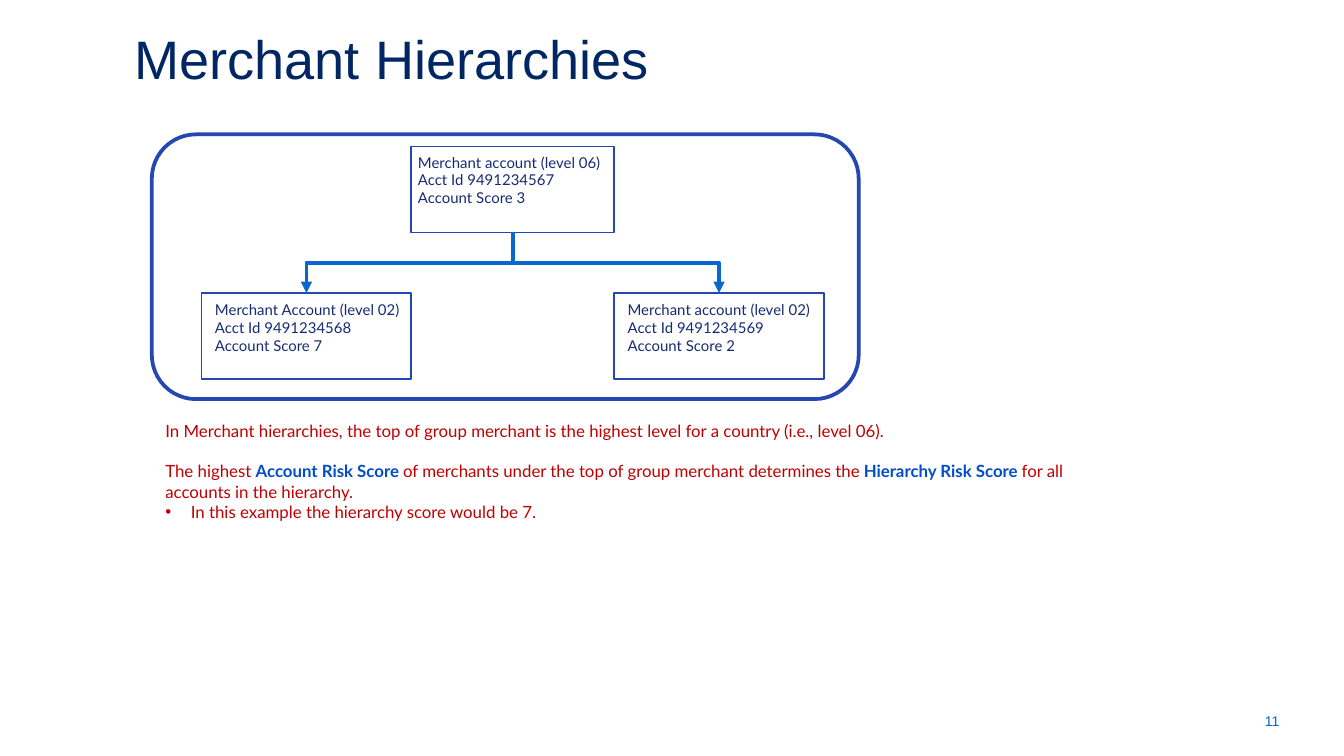
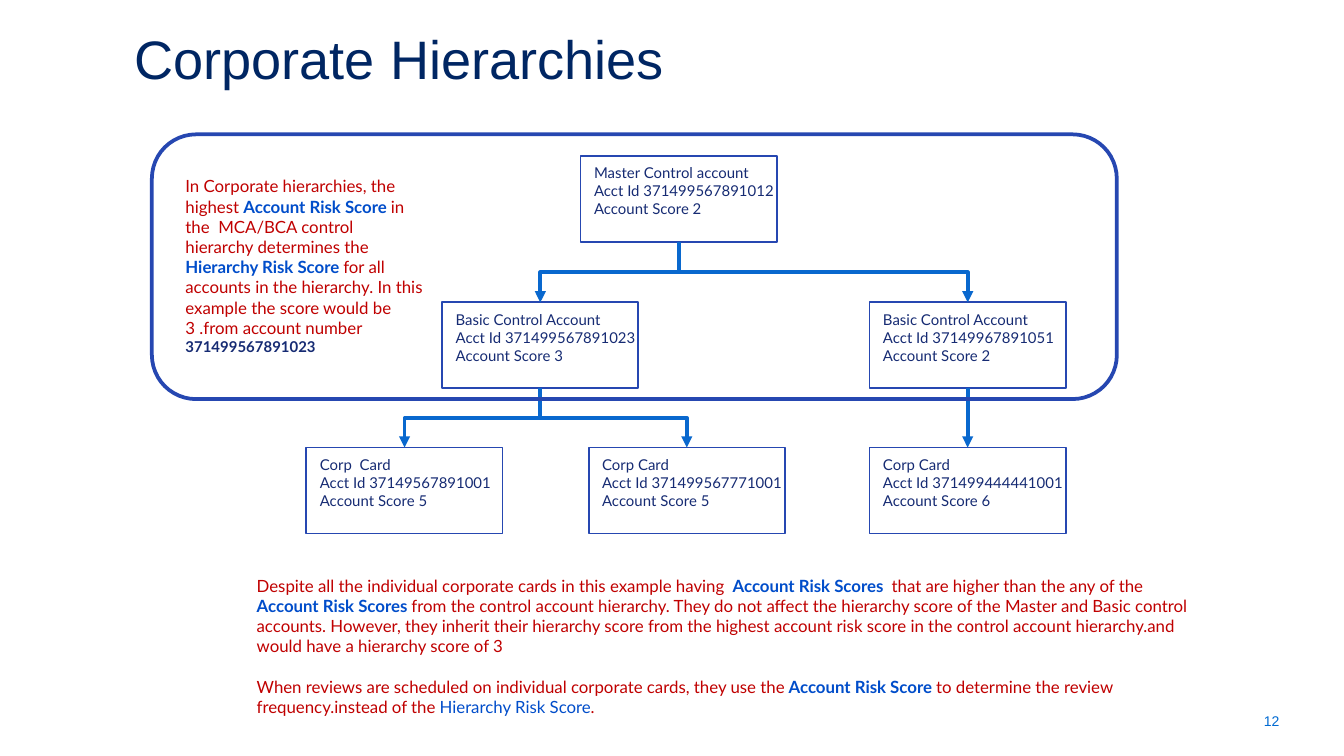
from collections import namedtuple

from lxml import etree
from pptx import Presentation
from pptx.dml.color import RGBColor
from pptx.enum.shapes import MSO_CONNECTOR, MSO_SHAPE
from pptx.enum.text import MSO_ANCHOR, MSO_AUTO_SIZE, PP_ALIGN
from pptx.oxml.ns import qn
from pptx.util import Inches, Pt

NAVY = RGBColor(0x00, 0x26, 0x63)
PAGE_BLUE = RGBColor(0x00, 0x6A, 0xD2)
RED = RGBColor(0xC0, 0x00, 0x00)
TERM_BLUE = RGBColor(0x00, 0x4D, 0xCA)
INK = RGBColor(0x16, 0x2B, 0x73)
OUTLINE = RGBColor(0x26, 0x47, 0xB1)
LINK_BLUE = RGBColor(0x09, 0x68, 0xCE)

ELBOW, STRAIGHT = MSO_CONNECTOR.ELBOW, MSO_CONNECTOR.STRAIGHT
RECTANGLE, ROUNDED = MSO_SHAPE.RECTANGLE, MSO_SHAPE.ROUNDED_RECTANGLE
TOP, MIDDLE = MSO_ANCHOR.TOP, MSO_ANCHOR.MIDDLE
LEFT, RIGHT = PP_ALIGN.LEFT, PP_ALIGN.RIGHT
NO_AUTOFIT = MSO_AUTO_SIZE.NONE

TITLE = {"name": "Arial", "size": Pt(29), "color": NAVY}
PAGE = {"name": "Arial", "size": Pt(7.5), "color": PAGE_BLUE}
PROSE = {"name": "Lato", "size": Pt(9), "bold": False, "color": RED}
TERM = PROSE | {"bold": True, "color": TERM_BLUE}
PLAIN_TERM = PROSE | {"color": TERM_BLUE}
ACCOUNT = {"name": "Lato", "size": Pt(8), "color": INK}
ACCOUNT_BOLD = ACCOUNT | {"bold": True}

TITLE_BOX = (0.9, 0.14, 9.84, 0.59)
PAGE_BOX = (8.76, 5.24, 0.86, 0.25)
NODE_HEIGHT = 0.64
LINE_GAP = 10.8
BULLET_INDENT = 0.19

Paragraph = namedtuple("Paragraph", "runs gap bulleted", defaults=(0, False))
Node = namedtuple("Node", "left top width lines inset", defaults=((0.1, 0.06),))

MERCHANT_NODES = {
    "top": Node(1.93, 0.09, 1.51, (
        "Merchant account (level 06)", "Acct Id 9491234567", "Account Score 3"),
        (0.05, 0.05)),
    "first": Node(0.37, 1.18, 1.56, (
        "Merchant Account (level 02)", "Acct Id 9491234568", "Account Score 7")),
    "second": Node(3.44, 1.18, 1.56, (
        "Merchant account (level 02)", "Acct Id 9491234569", "Account Score 2")),
}
MERCHANT_LINKS = (("top", "first"), ("top", "second"))
MERCHANT_RULES = (
    Paragraph([("In Merchant hierarchies, the top of group merchant is the highest level "
                "for a country (i.e., level 06).", PROSE)]),
    Paragraph([
        ("The highest ", PROSE), ("Account Risk Score ", TERM),
        ("of merchants under the top of group merchant determines the ", PROSE),
        ("Hierarchy Risk Score ", TERM), ("for all accounts in the hierarchy.", PROSE),
    ], LINE_GAP),
    Paragraph([("In this example the hierarchy score would be 7.", PROSE)], bulleted=True),
)

CONTROL_WIDTH = 1.46
MASTER_TOP, BASIC_TOP, CARD_TOP = 0.16, 1.25, 2.33
CORPORATE_NODES = {
    "master": Node(3.19, MASTER_TOP, CONTROL_WIDTH, (
        "Master Control account", "Acct Id 371499567891012", "Account Score 2")),
    "basic one": Node(2.16, BASIC_TOP, CONTROL_WIDTH, (
        "Basic Control Account", "Acct Id 371499567891023", "Account Score 3")),
    "basic two": Node(5.34, BASIC_TOP, CONTROL_WIDTH, (
        "Basic Control Account", "Acct Id 37149967891051", "Account Score 2")),
    "card one": Node(1.15, CARD_TOP, CONTROL_WIDTH, (
        "Corp  Card", "Acct Id 37149567891001", "Account Score 5")),
    "card two": Node(3.25, CARD_TOP, CONTROL_WIDTH, (
        "Corp Card", "Acct Id 371499567771001", "Account Score 5")),
    "card three": Node(5.34, CARD_TOP, CONTROL_WIDTH, (
        "Corp Card", "Acct Id 371499444441001", "Account Score 6")),
}
CORPORATE_LINKS = (
    ("master", "basic one"), ("master", "basic two"),
    ("basic one", "card one"), ("basic one", "card two"), ("basic two", "card three"),
)
CORPORATE_SUMMARY = (
    Paragraph([
        ("In Corporate hierarchies, the highest ", PROSE), ("Account Risk Score ", TERM),
        ("in the  MCA/BCA control hierarchy determines the ", PROSE),
        ("Hierarchy Risk Score ", TERM),
        ("for all accounts in the hierarchy. In this example the score would be "
         "3 .from account number", PROSE),
    ]),
    Paragraph([("371499567891023", ACCOUNT_BOLD)]),
)
CORPORATE_RULES = (
    Paragraph([
        ("Despite all the individual corporate cards in this example having  ", PROSE),
        ("Account Risk Scores ", TERM),
        (" that are higher than the any of the ", PROSE),
        ("Account Risk Scores ", TERM),
        ("from the control account hierarchy. They do not affect the hierarchy score of "
         "the Master and Basic control accounts. However, they inherit their hierarchy "
         "score from the highest account risk score in the control account hierarchy.and "
         "would have a hierarchy score of 3", PROSE),
    ]),
    Paragraph([
        ("When reviews are scheduled on individual corporate cards, they use the ", PROSE),
        ("Account Risk Score ", TERM),
        ("to determine the review frequency.instead of the ", PROSE),
        ("Hierarchy Risk Score", PLAIN_TERM), (".", PROSE),
    ], LINE_GAP),
)


def set_font(font, style):
    """Apply a dict of format values to a font."""
    for attribute, value in style.items():
        if attribute == "color":
            font.color.rgb = value
        else:
            setattr(font, attribute, value)


def place(shape, box):
    """Move and size a shape to a box given in inches."""
    for attribute, length in zip(("left", "top", "width", "height"), box):
        setattr(shape, attribute, Inches(length))


def set_bullet(paragraph, bulleted):
    """Switch the bullet and hanging indent of a paragraph on or off."""
    properties = paragraph._p.get_or_add_pPr()
    indent = Inches(BULLET_INDENT) if bulleted else 0
    properties.set("marL", str(indent))
    properties.set("indent", str(-indent))
    if bulleted:
        etree.SubElement(properties, qn("a:buFont"), typeface="Arial")
        etree.SubElement(properties, qn("a:buChar"), char="•")
    else:
        etree.SubElement(properties, qn("a:buNone"))


def write(shape, paragraphs, align=LEFT, anchor=TOP, inset=(0, 0)):
    """Fill a shape with styled paragraphs."""
    frame = shape.text_frame
    side, edge = map(Inches, inset)
    settings = {
        "word_wrap": True, "auto_size": NO_AUTOFIT, "vertical_anchor": anchor,
        "margin_left": side, "margin_right": side,
        "margin_top": edge, "margin_bottom": edge,
    }
    for attribute, value in settings.items():
        setattr(frame, attribute, value)
    for index, content in enumerate(paragraphs):
        paragraph = frame.add_paragraph() if index else frame.paragraphs[0]
        set_bullet(paragraph, content.bulleted)
        paragraph.alignment = align
        paragraph.space_before = Pt(content.gap)
        for text, style in content.runs:
            run = paragraph.add_run()
            run.text = text
            set_font(run.font, style)


def add_note(slide, box, paragraphs, **layout):
    """Add a text box holding styled paragraphs."""
    note = slide.shapes.add_textbox(*map(Inches, box))
    write(note, paragraphs, **layout)


def add_outline(slide, preset, box, weight):
    """Add an unfilled outlined shape."""
    outline = slide.shapes.add_shape(preset, *map(Inches, box))
    outline.shadow.inherit = False
    outline.fill.background()
    outline.line.color.rgb = OUTLINE
    outline.line.width = Pt(weight)


def add_account(slide, box, lines, inset):
    """Draw one account box with its lines of text."""
    left, top, width, _ = box
    side, drop = inset
    add_outline(slide, RECTANGLE, box, 1)
    add_note(slide, (left + side, top + drop, width - side, 0.4),
             [Paragraph([(line, ACCOUNT)]) for line in lines])


def add_link(slide, parent, child):
    """Draw an arrow from the bottom of a parent box to the top of a child box."""
    start_x, start_y = parent[0] + parent[2] / 2, parent[1] + parent[3]
    end_x, end_y = child[0] + child[2] / 2, child[1]
    across, down = end_x - start_x, end_y - start_y
    if abs(across) < 0.01:
        kind, rotation = STRAIGHT, 0
        ends = (start_x, start_y, end_x, end_y)
    else:
        kind, rotation = ELBOW, 90 if across < 0 else 270
        middle_x, middle_y = (start_x + end_x) / 2, (start_y + end_y) / 2
        reach = down / 2 if across < 0 else -down / 2
        ends = (middle_x - reach, middle_y - abs(across) / 2,
                middle_x + reach, middle_y + abs(across) / 2)
    link = slide.shapes.add_connector(kind, *map(Inches, ends))
    link.line.color.rgb = LINK_BLUE
    link.line.width = Pt(2)
    properties = link._element.spPr
    properties.find(qn("a:xfrm")).set("rot", str(rotation * 60000))
    etree.SubElement(properties.find(qn("a:ln")), qn("a:tailEnd"), type="triangle")
    etree.SubElement(properties, qn("a:effectLst"))


def add_hierarchy(slide, box, nodes, links):
    """Draw a framed tree of accounts, placed relative to its frame."""
    left, top = box[:2]
    boxes = {key: (left + node.left, top + node.top, node.width, NODE_HEIGHT)
             for key, node in nodes.items()}
    for key, node in nodes.items():
        add_account(slide, boxes[key], node.lines, node.inset)
    for parent, child in links:
        add_link(slide, boxes[parent], boxes[child])
    add_outline(slide, ROUNDED, box, 2)


def add_hierarchy_slide(deck, title, page, rules_box, rules):
    """Add a slide with its title, page number and explanation."""
    slide = deck.slides.add_slide(deck.slide_layouts[1])
    heading, body = slide.shapes.title, slide.placeholders[1]
    place(heading, TITLE_BOX)
    write(heading, [Paragraph([(title, TITLE)])], inset=(0.1, 0.05))
    place(body, rules_box)
    write(body, rules)
    add_note(slide, PAGE_BOX, [Paragraph([(page, PAGE)])],
             align=RIGHT, anchor=MIDDLE, inset=(0.1, 0.05))
    return slide


def main():
    """Build and save the deck."""
    deck = Presentation()
    deck.slide_width = Inches(10)
    deck.slide_height = deck.slide_width * 9 // 16

    merchant = add_hierarchy_slide(
        deck, "Merchant Hierarchies", "11", (1.23, 3.13, 6.83, 0.76), MERCHANT_RULES)
    add_hierarchy(merchant, (1.13, 1, 5.26, 1.97), MERCHANT_NODES, MERCHANT_LINKS)

    corporate = add_hierarchy_slide(
        deck, "Corporate Hierarchies", "12", (1.91, 4.28, 7.08, 1.06), CORPORATE_RULES)
    add_hierarchy(corporate, (1.13, 1, 7.18, 1.97), CORPORATE_NODES, CORPORATE_LINKS)
    add_note(corporate, (1.38, 1.31, 1.77, 1.36), CORPORATE_SUMMARY)

    deck.save("out.pptx")


if __name__ == "__main__":
    main()
